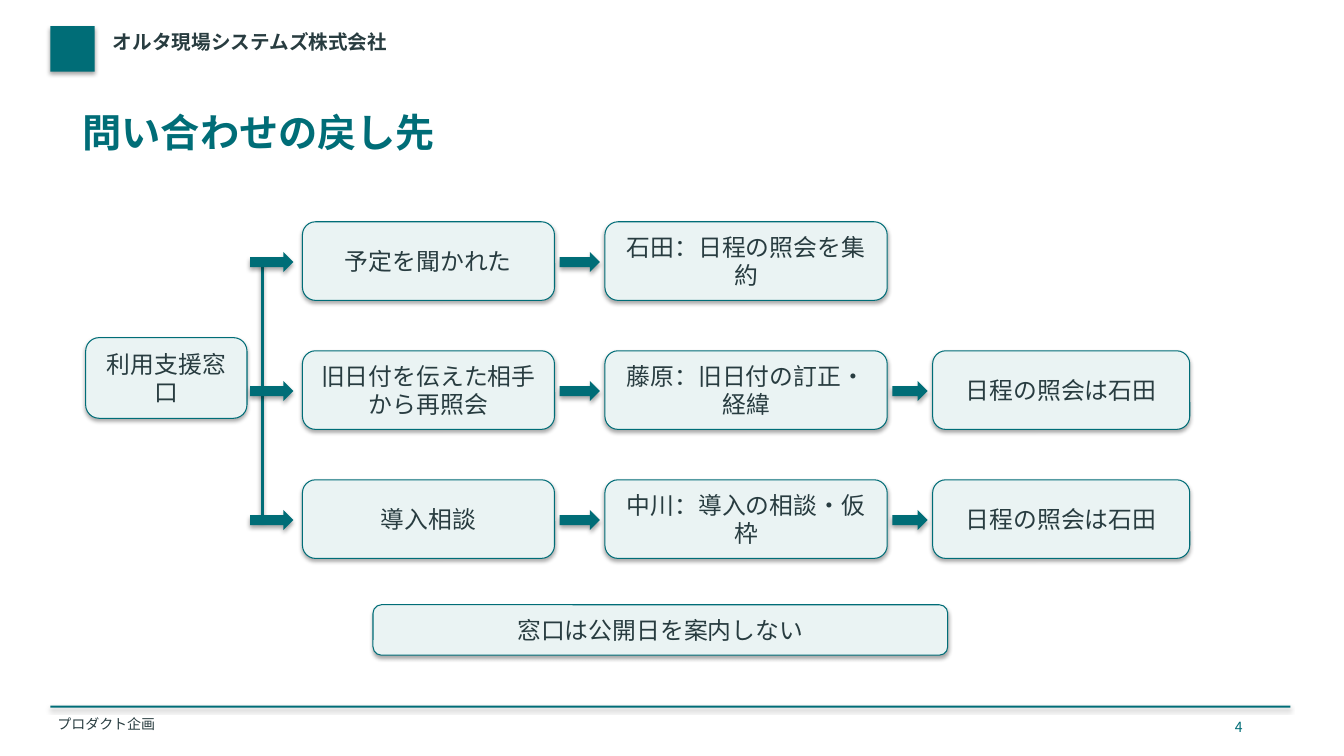
from dataclasses import dataclass
from typing import Any, NamedTuple

from lxml.etree import SubElement
from pptx import Presentation
from pptx.dml.color import RGBColor
from pptx.enum.shapes import MSO_CONNECTOR as Connector, MSO_SHAPE as Preset
from pptx.enum.text import MSO_ANCHOR as Anchor, MSO_AUTO_SIZE as AutoSize, PP_ALIGN as Align
from pptx.oxml.ns import qn
from pptx.util import Inches, Pt

COLUMN = ROW = Inches(0.1)


@dataclass(frozen=True)
class Theme:
    teal: RGBColor = RGBColor(0x00, 0x6D, 0x77)
    ink: RGBColor = RGBColor(0x28, 0x3C, 0x40)
    pale: RGBColor = RGBColor(0xEA, 0xF3, 0xF3)
    font: str = "Noto Sans CJK JP"
    title: Pt = Pt(28)
    node: Pt = Pt(17)
    brand: Pt = Pt(14)
    small: Pt = Pt(10)
    outline: Pt = Pt(0.75)
    trunk: Pt = Pt(2)


class Area(NamedTuple):
    column: float
    row: float
    columns: float
    rows: float

    def lengths(self) -> tuple[int, ...]:
        units = (COLUMN, ROW, COLUMN, ROW)
        return tuple(round(value * unit) for value, unit in zip(self, units))


class Label(NamedTuple):
    text: str
    area: Area
    size: Pt
    color: RGBColor
    bold: bool = False
    inset: float = 0.02
    wrap: bool = True


class Stage(NamedTuple):
    column: float
    columns: float
    arrow_column: float
    arrow_columns: float


THEME = Theme()
STAGES = (
    Stage(30, 25, 24.8, 4.3),
    Stage(60, 28, 55.5, 4),
    Stage(92.5, 25.5, 88.5, 3.5),
)
ROUTES = (
    ("予定を聞かれた", "石田：日程の照会を集約"),
    ("旧日付を伝えた相手から再照会", "藤原：旧日付の訂正・経緯", "日程の照会は石田"),
    ("導入相談", "中川：導入の相談・仮枠", "日程の照会は石田"),
)
FIRST_ROW, ROUTE_STEP, NODE_ROWS = 22, 12.8, 7.8
ARROW_DROP, ARROW_ROWS = 3, 2
TRUNK_COLUMN, TRUNK_ROW = 26, 26
LABELS = (
    Label("オルタ現場システムズ株式会社", Area(11, 2.8, 100, 4), THEME.brand, THEME.ink, True),
    Label("プロダクト企画", Area(5.5, 70.8, 90, 2.2), THEME.small, THEME.ink),
    Label("問い合わせの戻し先", Area(8, 10.5, 117, 7.5), THEME.title, THEME.teal, True),
    Label("4", Area(121.5, 70.8, 5, 2.2), THEME.small, THEME.teal, inset=0.1, wrap=False),
)
BARS = (Area(5, 2.6, 4.4, 4.5), Area(5, 70, 123, 0.2))
NODES = (
    ("利用支援窓口", Area(8.5, 33.5, 16, 8)),
    ("窓口は公開日を案内しない", Area(37, 60, 57, 5)),
)


def set_format(target: Any, values: dict[str, Any]) -> None:
    for name, value in values.items():
        setattr(target, name, value)


def write(para: Any, text: str, size: Pt, color: RGBColor, bold: bool = False) -> None:
    span = para.add_run()
    span.text = text
    set_format(span.font, {"name": THEME.font, "size": size, "bold": bold})
    span.font.color.rgb = color
    SubElement(span._r.get_or_add_rPr(), qn("a:ea"), typeface=THEME.font)


def add_label(page: Any, label: Label) -> None:
    box = page.shapes.add_textbox(*label.area.lengths())
    frame = box.text_frame
    inset = Inches(label.inset)
    set_format(frame, {
        "word_wrap": label.wrap,
        "auto_size": AutoSize.SHAPE_TO_FIT_TEXT,
        "margin_left": inset,
        "margin_right": inset,
        "margin_top": min(inset, Inches(0.05)),
        "margin_bottom": min(inset, Inches(0.05)),
    })
    write(frame.paragraphs[0], label.text, label.size, label.color, label.bold)


def add_solid(page: Any, preset: Preset, area: Area) -> None:
    shape = page.shapes.add_shape(preset, *area.lengths())
    shape.fill.solid()
    shape.fill.fore_color.rgb = THEME.teal
    shape.line.fill.background()


def add_node(page: Any, text: str, area: Area) -> None:
    node = page.shapes.add_shape(Preset.ROUNDED_RECTANGLE, *area.lengths())
    node.fill.solid()
    node.fill.fore_color.rgb = THEME.pale
    node.line.color.rgb = THEME.teal
    node.line.width = THEME.outline
    set_format(node.text_frame, {"word_wrap": True, "vertical_anchor": Anchor.MIDDLE})
    para = node.text_frame.paragraphs[0]
    para.alignment = Align.CENTER
    write(para, text, THEME.node, THEME.ink)


def add_trunk(page: Any) -> None:
    last_row = TRUNK_ROW + ROUTE_STEP * (len(ROUTES) - 1)
    column = TRUNK_COLUMN * COLUMN
    trunk = page.shapes.add_connector(
        Connector.STRAIGHT, column, TRUNK_ROW * ROW, column, round(last_row * ROW)
    )
    trunk.line.color.rgb = THEME.teal
    trunk.line.width = THEME.trunk


def add_route(page: Any, texts: tuple[str, ...], row: float) -> None:
    for text, stage in zip(texts, STAGES):
        add_node(page, text, Area(stage.column, row, stage.columns, NODE_ROWS))
        arrow = Area(stage.arrow_column, row + ARROW_DROP, stage.arrow_columns, ARROW_ROWS)
        add_solid(page, Preset.RIGHT_ARROW, arrow)


def main() -> None:
    deck = Presentation()
    set_format(deck, {"slide_width": Inches(13.33), "slide_height": Inches(7.5)})
    page = deck.slides.add_slide(deck.slide_layouts[6])
    for bar in BARS:
        add_solid(page, Preset.RECTANGLE, bar)
    for label in LABELS:
        add_label(page, label)
    for text, area in NODES:
        add_node(page, text, area)
    add_trunk(page)
    for index, texts in enumerate(ROUTES):
        add_route(page, texts, FIRST_ROW + index * ROUTE_STEP)
    deck.save("out.pptx")


if __name__ == "__main__":
    main()
